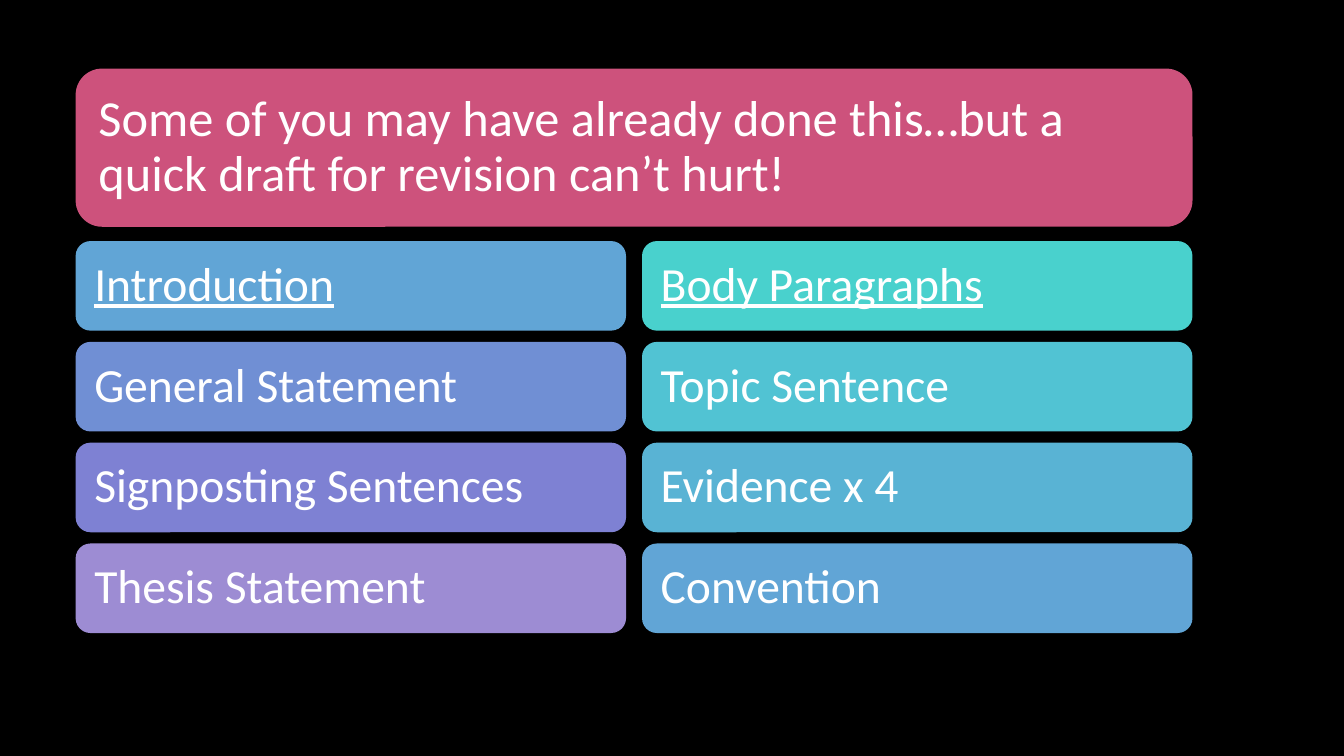
from dataclasses import dataclass

import lxml.etree
import pptx
import pptx.dml.color
import pptx.enum.shapes
import pptx.enum.text
import pptx.oxml.ns
import pptx.slide
import pptx.util

Pt = pptx.util.Pt
RGB = pptx.dml.color.RGBColor

BLACK = RGB(0x00, 0x00, 0x00)
WHITE = RGB(0xFF, 0xFF, 0xFF)
PINK = RGB(0xE4, 0x5C, 0x8A)
BLUE = RGB(0x61, 0xA5, 0xD6)
DENIM = RGB(0x70, 0x8F, 0xD4)
INDIGO = RGB(0x7E, 0x81, 0xD3)
LILAC = RGB(0x9D, 0x8C, 0xD3)
MINT = RGB(0x49, 0xD1, 0xCD)
TEAL = RGB(0x51, 0xC3, 0xD3)
SKY = RGB(0x59, 0xB3, 0xD4)

# Layout in points
LEFT, TOP, WIDTH = 54, 49, 797.8
HEAD_H = 113
GRID_TOP, ROW_H, ROW_STEP = 172.2, 64, 72
GAP = 11.4
COL_W = (WIDTH - GAP) / 2


@dataclass
class Card:
    text: str
    fill: RGB


HEAD = Card("Some of you may have already done this…but a quick draft "
            "for revision can’t hurt!", PINK)

COLUMNS = [
    [Card("Introduction", BLUE),
     Card("General Statement", DENIM),
     Card("Signposting Sentences", INDIGO),
     Card("Thesis Statement", LILAC)],
    [Card("Body Paragraphs", MINT),
     Card("Topic Sentence", TEAL),
     Card("Evidence x 4", SKY),
     Card("Convention", BLUE)],
]


def draw(slide: pptx.slide.Slide, card: Card, x: float, y: float,
         w: float, h: float, size: int, inset: float,
         under: bool = False, alpha: int = 100) -> None:
    """Draw one rounded card with its text."""
    shape = slide.shapes.add_shape(
        pptx.enum.shapes.MSO_SHAPE.ROUNDED_RECTANGLE,
        Pt(x), Pt(y), Pt(w), Pt(h))
    shape.shadow.inherit = False
    shape.fill.solid()
    shape.fill.fore_color.rgb = card.fill
    shape.line.fill.background()
    if alpha < 100:
        qn = pptx.oxml.ns.qn
        color = shape.element.spPr.find(qn("a:solidFill") + "/"
                                        + qn("a:srgbClr"))
        node = lxml.etree.SubElement(color, qn("a:alpha"))
        node.set("val", str(alpha * 1000))

    # Text
    frame = shape.text_frame
    layout = {"word_wrap": True,
              "vertical_anchor": pptx.enum.text.MSO_ANCHOR.MIDDLE}
    for side in ("left", "right", "top", "bottom"):
        layout["margin_" + side] = Pt(inset)
    for name, value in layout.items():
        setattr(frame, name, value)
    para = frame.paragraphs[0]
    para.alignment = pptx.enum.text.PP_ALIGN.LEFT
    para.line_spacing = 0.9
    run = para.add_run()
    run.text = card.text
    style = {"name": "Calibri", "size": Pt(size), "underline": under}
    for name, value in style.items():
        setattr(run.font, name, value)
    run.font.color.rgb = WHITE


def main() -> None:
    deck = pptx.Presentation()
    deck.slide_width, deck.slide_height = Pt(960), Pt(540)
    slide = deck.slides.add_slide(deck.slide_layouts[6])
    slide.background.fill.solid()
    slide.background.fill.fore_color.rgb = BLACK

    # Heading card
    draw(slide, HEAD, LEFT, TOP, WIDTH, HEAD_H, 36, 10.8, alpha=90)

    # Two columns, each with an underlined title card
    for col, cards in enumerate(COLUMNS):
        for row, card in enumerate(cards):
            draw(slide, card, LEFT + col * (COL_W + GAP),
                 GRID_TOP + row * ROW_STEP, COL_W, ROW_H, 34, 10.2,
                 under=row == 0)

    deck.save("out.pptx")


if __name__ == "__main__":
    main()
